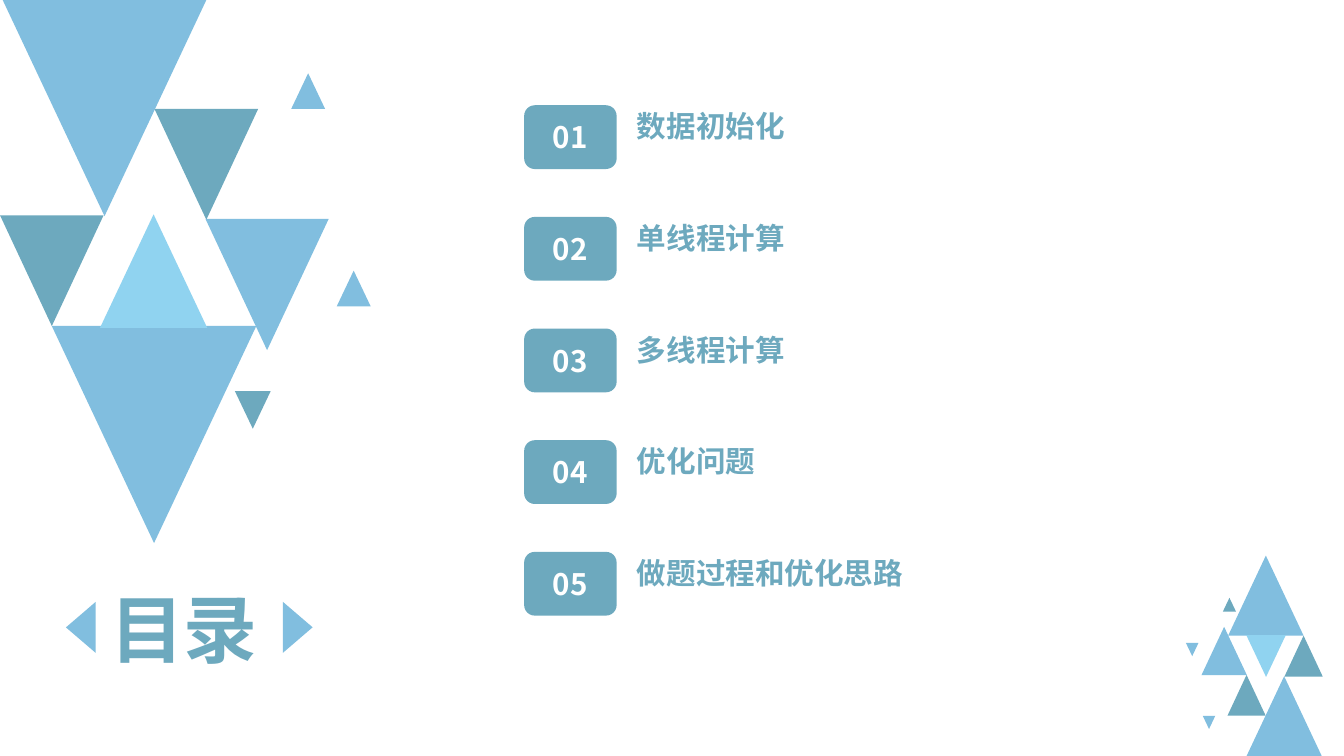
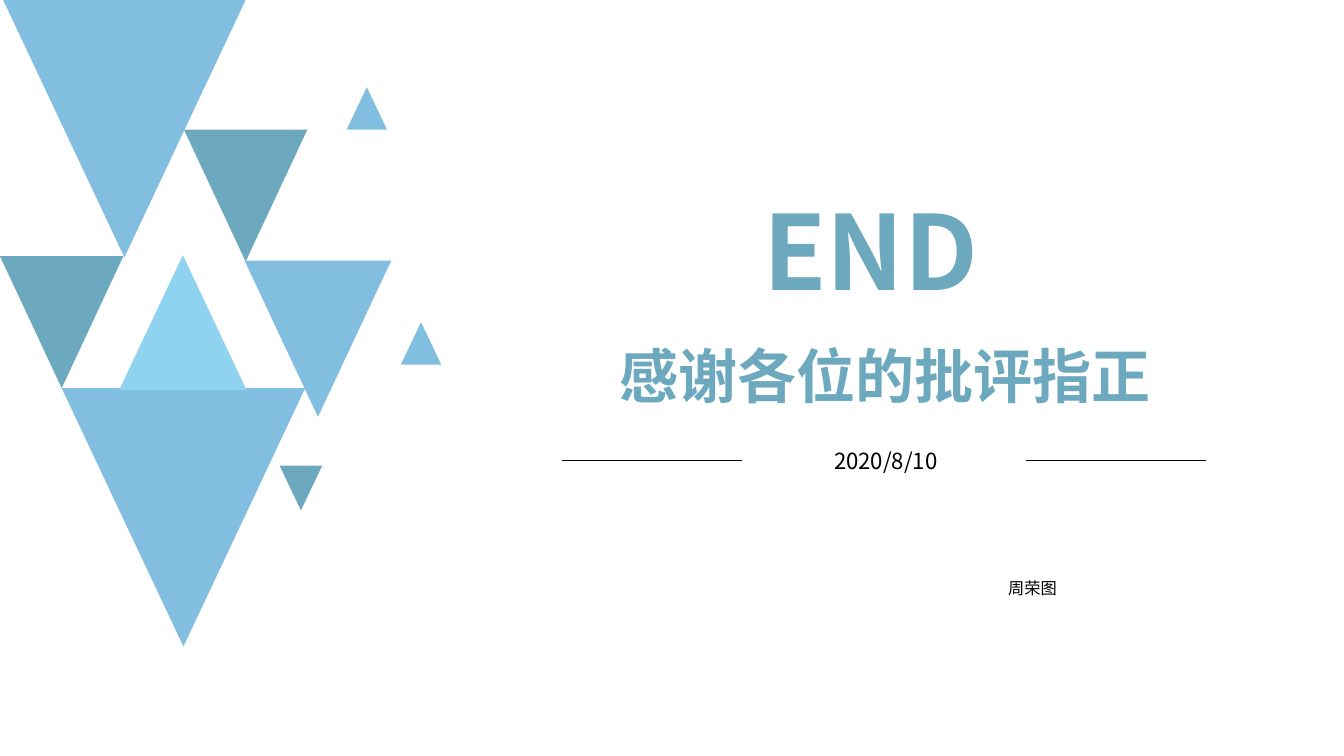
import pptx
import pptx.util
from lxml import etree
from pptx.dml.color import RGBColor
from pptx.enum.shapes import MSO_CONNECTOR, MSO_SHAPE
from pptx.enum.text import MSO_ANCHOR, MSO_AUTO_SIZE, PP_ALIGN
from pptx.oxml.ns import qn
from pptx.util import Inches, Pt

SKY = RGBColor(0x81, 0xBE, 0xDF)
TEAL = RGBColor(0x6D, 0xA9, 0xBE)
PALE = RGBColor(0x90, 0xD3, 0xF0)
BLACK = RGBColor(0, 0, 0)
WHITE = RGBColor(0xFF, 0xFF, 0xFF)
FONT = "Noto Sans CJK SC"
LATIN_FONT = "Calibri"

SLIDE_WIDTH, SLIDE_HEIGHT = 12.64, 7.11
TITLE_LAYOUT, TITLE_ONLY_LAYOUT = 0, 5

# Full-size triangle cluster: left, top, width, height, rotation, colour
CLUSTER = [
    (0.03, 0, 2.28, 2.42, 180, SKY),
    (1.73, 1.22, 1.16, 1.24, 180, TEAL),
    (3.26, 0.82, 0.38, 0.4, 0, SKY),
    (0, 2.41, 1.16, 1.24, 180, TEAL),
    (0.58, 3.65, 2.29, 2.43, 180, SKY),
    (1.12, 2.4, 1.2, 1.27, 0, PALE),
    (2.3, 2.45, 1.38, 1.47, 180, SKY),
    (3.77, 3.03, 0.38, 0.4, 0, SKY),
    (2.63, 4.38, 0.4, 0.42, 180, TEAL),
]
TOPICS = ["数据初始化", "单线程计算", "多线程计算", "优化问题", "做题过程和优化思路"]
TOPIC_TOP, TOPIC_PITCH = 0.99, 1.05


def add_filled(slide, preset, left, top, width, height, colour):
    shape = slide.shapes.add_shape(
        preset, Inches(left), Inches(top), Inches(width), Inches(height))
    shape.shadow.inherit = False
    shape.fill.solid()
    shape.fill.fore_color.rgb = colour
    shape.line.fill.background()
    return shape


def add_triangle(slide, left, top, width, height, rotation, colour):
    triangle = add_filled(slide, MSO_SHAPE.ISOSCELES_TRIANGLE,
                          left, top, width, height, colour)
    triangle.rotation = rotation


def add_cluster(slide, scale, turned=False):
    """Draw the cluster at the top left or, turned half round, at the bottom right."""
    for left, top, width, height, rotation, colour in CLUSTER:
        left, top, width, height = (scale * n for n in (left, top, width, height))
        if turned:
            left = SLIDE_WIDTH - 0.2 - left - width
            top = SLIDE_HEIGHT - top - height
            rotation = 180 - rotation
        add_triangle(slide, left, top, width, height, rotation, colour)


def write(shape, text, size, colour, bold=True, align=PP_ALIGN.CENTER, font=FONT):
    frame = shape.text_frame
    frame.text = text
    frame.word_wrap = True
    frame.auto_size = MSO_AUTO_SIZE.NONE
    frame.vertical_anchor = MSO_ANCHOR.MIDDLE
    frame.margin_left = frame.margin_right = 0
    frame.margin_top = frame.margin_bottom = 0
    paragraph = frame.paragraphs[0]
    paragraph.alignment = align
    paragraph.space_before = Pt(0)
    run = paragraph.runs[0]
    run.font.size = Pt(size)
    run.font.bold = bold
    run.font.color.rgb = colour
    run.font.name = font
    east_asian = etree.SubElement(run.font._element, qn("a:ea"))
    east_asian.set("typeface", FONT)


def place(placeholder, left, top, width, height):
    placeholder.left, placeholder.top = Inches(left), Inches(top)
    placeholder.width, placeholder.height = Inches(width), Inches(height)
    return placeholder


def add_label(slide, left, top, width, height, text, size, colour, **style):
    label = slide.shapes.add_textbox(
        Inches(left), Inches(top), Inches(width), Inches(height))
    write(label, text, size, colour, **style)


def add_rule(slide, left, top, width):
    rule = slide.shapes.add_connector(
        MSO_CONNECTOR.STRAIGHT, Inches(left), Inches(top),
        Inches(left + width), Inches(top))
    rule.line.color.rgb = BLACK
    rule.line.width = Pt(0.5)
    etree.SubElement(rule._element.spPr, qn("a:effectLst"))


def add_topic(slide, number, topic):
    top = TOPIC_TOP + (number - 1) * TOPIC_PITCH
    badge = add_filled(slide, MSO_SHAPE.ROUNDED_RECTANGLE,
                       4.93, top, 0.87, 0.6, TEAL)
    write(badge, f"{number:02}", 20, WHITE)
    add_label(slide, 5.99, top, 3.11, 0.39, topic, 20, TEAL, align=PP_ALIGN.LEFT)


def build_contents(deck):
    slide = deck.slides.add_slide(deck.slide_layouts[TITLE_ONLY_LAYOUT])
    add_cluster(slide, 0.84)
    add_cluster(slide, 0.31, turned=True)
    write(place(slide.shapes.title, 0.52, 5.45, 2.42, 0.92), "目录", 50, TEAL)
    for left, rotation in ((0.52, 270), (2.56, 90)):
        add_triangle(slide, left, 5.76, 0.48, 0.28, rotation, SKY)
    for number, topic in enumerate(TOPICS, start=1):
        add_topic(slide, number, topic)


def build_closing(deck):
    slide = deck.slides.add_slide(deck.slide_layouts[TITLE_LAYOUT])
    add_cluster(slide, 1)
    write(place(slide.shapes.title, 6.39, 1.66, 3.6, 1.36), "END", 70, TEAL)
    thanks = place(slide.placeholders[1], 4.71, 3.13, 7.22, 0.79)
    write(thanks, "感谢各位的批评指正", 40, TEAL)
    add_label(slide, 4.72, 4.21, 7.22, 0.25, "2020/8/10", 15, BLACK, bold=False)
    for left in (5.29, 9.65):
        add_rule(slide, left, 4.33, 1.69)
    add_label(slide, 6.1, 5.44, 7.22, 0.18, "周荣图", 11, BLACK,
              bold=False, font=LATIN_FONT)


def main():
    deck = pptx.Presentation()
    deck.slide_width = Inches(SLIDE_WIDTH)
    deck.slide_height = Inches(SLIDE_HEIGHT)
    build_contents(deck)
    build_closing(deck)
    deck.save("out.pptx")


if __name__ == "__main__":
    main()
